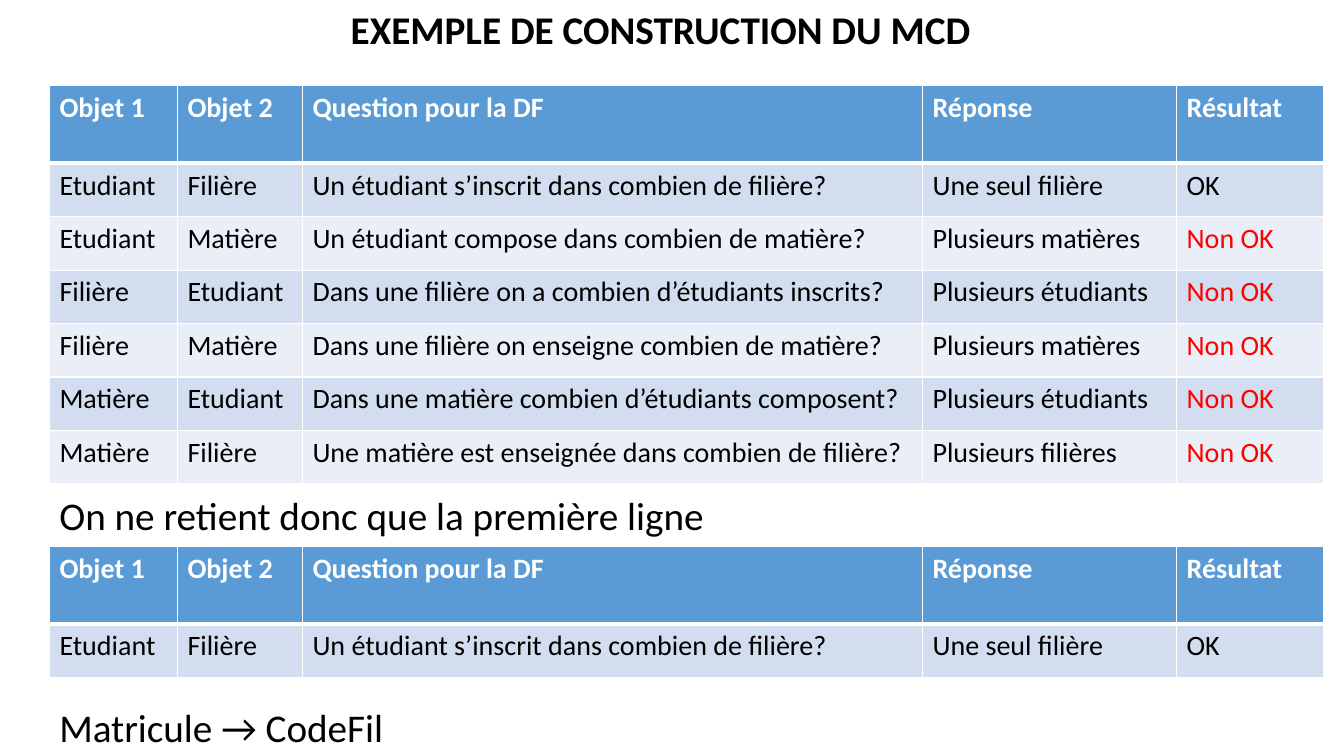
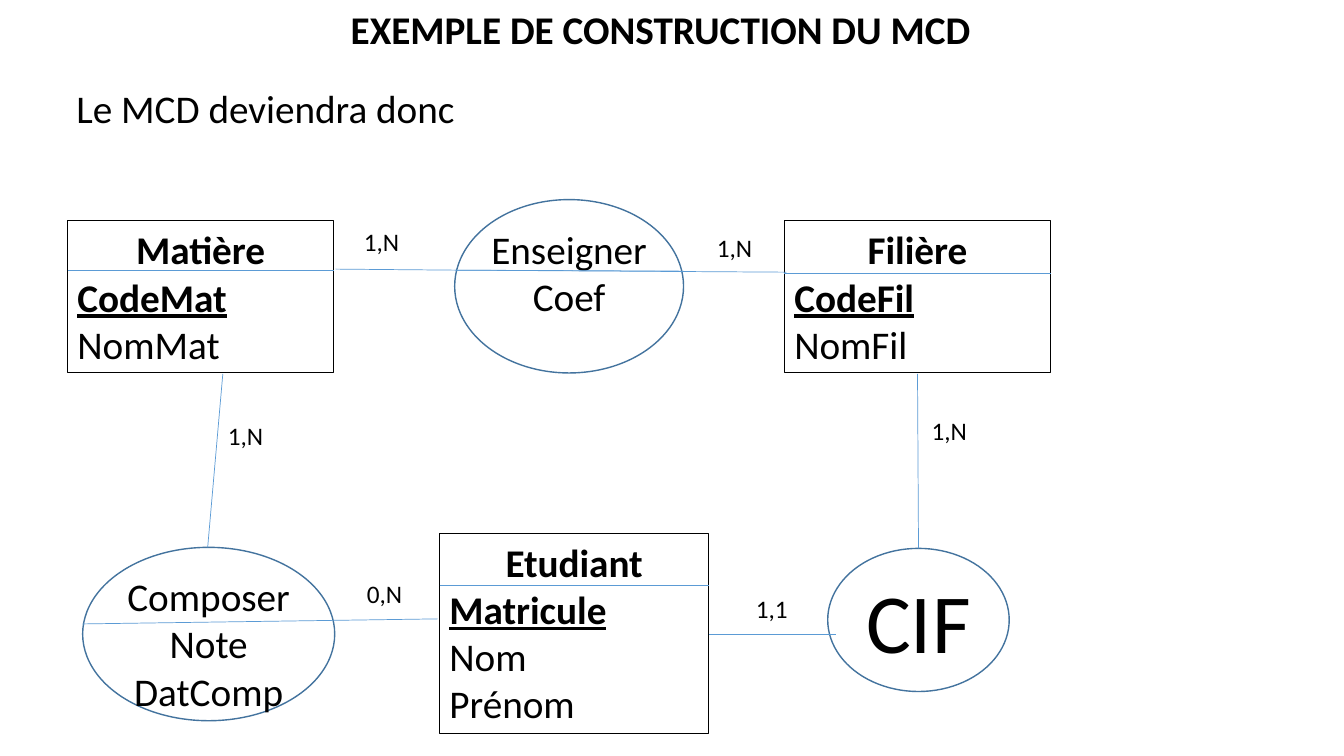
"""Build two slides that show how a conceptual data model is derived."""
from dataclasses import dataclass

from lxml import etree
from pptx import Presentation
from pptx.dml.color import RGBColor
from pptx.enum.shapes import MSO_CONNECTOR, MSO_SHAPE
from pptx.enum.text import MSO_ANCHOR, PP_ALIGN
from pptx.oxml.ns import qn
from pptx.shapes.autoshape import Shape
from pptx.slide import Slide
from pptx.table import _Cell
from pptx.text.text import TextFrame
from pptx.util import Inches, Pt

RECTANGLE, ELLIPSE = MSO_SHAPE.RECTANGLE, MSO_SHAPE.OVAL
STRAIGHT = MSO_CONNECTOR.STRAIGHT
LEFT, CENTER = PP_ALIGN.LEFT, PP_ALIGN.CENTER
TOP, MIDDLE = MSO_ANCHOR.TOP, MSO_ANCHOR.MIDDLE

FONT = "Calibri"
BLACK, WHITE, RED = "000000", "FFFFFF", "FF0000"
BLUE, DARK_BLUE = "5B9BD5", "43739E"
BANDS = ("D2DEEF", "EAEFF7")
TITLE = "EXEMPLE DE CONSTRUCTION DU MCD"
TITLE_ONLY = 5
BODY_SIZE, TABLE_SIZE, LABEL_SIZE = 28, 20, 18
TEXT_HEIGHT = 0.57

TABLE_LEFT, TABLE_WIDTH = 0.49, 12.65
COLUMN_WIDTHS = (1.27, 1.24, 6.15, 2.52, 1.46)
HEADER_HEIGHT, ROW_HEIGHT = 0.77, 0.53
HEADERS = ("Objet 1", "Objet 2", "Question pour la DF", "Réponse", "Résultat")
REJECTED = "Non OK"
DEPENDENCIES = (
    ("Etudiant", "Filière", "Un étudiant s’inscrit dans combien de filière?",
     "Une seul filière", "OK"),
    ("Etudiant", "Matière", "Un étudiant compose dans combien de matière?",
     "Plusieurs matières", REJECTED),
    ("Filière", "Etudiant", "Dans une filière on a combien d’étudiants inscrits?",
     "Plusieurs étudiants", REJECTED),
    ("Filière", "Matière", "Dans une filière on enseigne combien de matière?",
     "Plusieurs matières", REJECTED),
    ("Matière", "Etudiant", "Dans une matière combien d’étudiants composent?",
     "Plusieurs étudiants", REJECTED),
    ("Matière", "Filière", "Une matière est enseignée dans combien de filière?",
     "Plusieurs filières", REJECTED),
)


@dataclass(frozen=True)
class Line:
    """One paragraph of uniformly formatted text."""
    text: str
    size: int = BODY_SIZE
    bold: bool = False
    underline: bool = False
    color: str = BLACK
    align: PP_ALIGN = LEFT


@dataclass(frozen=True)
class Box:
    """A position and size in inches."""
    left: float
    top: float
    width: float
    height: float

    def lengths(self) -> tuple[Inches, ...]:
        """Return the four measures as lengths."""
        return tuple(Inches(n) for n in (self.left, self.top, self.width, self.height))


@dataclass(frozen=True)
class Entity:
    """A data model entity with its key and other attributes."""
    name: str
    key: str
    attributes: tuple[str, ...]
    box: Box
    divider: float


@dataclass(frozen=True)
class Association:
    """A data model association drawn as an ellipse."""
    lines: tuple[str, ...]
    box: Box
    size: int = BODY_SIZE
    anchor: MSO_ANCHOR = TOP


@dataclass(frozen=True)
class Link:
    """A line between two points with its cardinality."""
    start: tuple[float, float]
    end: tuple[float, float]
    cardinality: str
    label: tuple[float, float]


ENTITIES = (
    Entity("Filière", "CodeFil", ("NomFil",), Box(7.78, 2.19, 2.64, 1.51), 2.71),
    Entity("Matière", "CodeMat", ("NomMat",), Box(0.67, 2.19, 2.64, 1.51), 2.68),
    Entity("Etudiant", "Matricule", ("Nom", "Prénom"), Box(4.36, 5.29, 2.67, 1.99), 5.81),
)
ASSOCIATIONS = (
    Association(("Enseigner", "Coef"), Box(4.51, 1.98, 2.27, 1.72)),
    Association(("Composer", "Note", "DatComp"), Box(0.82, 5.43, 2.5, 1.72)),
    Association(("CIF",), Box(8.21, 5.44, 1.8, 1.42), 60, MIDDLE),
)
LINKS = (
    Link((3.33, 2.67), (4.51, 2.68), "1,N", (3.47, 2.25)),
    Link((4.51, 2.68), (7.8, 2.7), "1,N", (6.97, 2.3)),
    Link((0.82, 6.19), (4.34, 6.14), "0,N", (3.5, 5.74)),
    Link((2.21, 3.71), (2.06, 5.43), "1,N", (2.12, 4.17)),
    Link((9.1, 3.71), (9.11, 5.44), "1,N", (9.1, 4.12)),
    Link((7.03, 6.29), (8.29, 6.29), "1,1", (7.34, 5.89)),
)


def rgb(value: str) -> RGBColor:
    """Turn a hex string into a colour."""
    return RGBColor.from_string(value)


def write(frame: TextFrame, lines: list[Line]) -> None:
    """Fill a text frame with formatted paragraphs."""
    for index, line in enumerate(lines):
        para = frame.add_paragraph() if index else frame.paragraphs[0]
        para.alignment = line.align
        span = para.add_run()
        span.text = line.text
        font = span.font
        font.name, font.size = FONT, Pt(line.size)
        font.bold, font.underline = line.bold, line.underline
        font.color.rgb = rgb(line.color)


def set_frame(frame: TextFrame, anchor: MSO_ANCHOR = TOP, padded: bool = True) -> None:
    """Set wrapping, anchor and insets of a text frame."""
    frame.word_wrap = True
    frame.vertical_anchor = anchor
    across, down = (0.1, 0.05) if padded else (0, 0)
    frame.margin_left = frame.margin_right = Inches(across)
    frame.margin_top = frame.margin_bottom = Inches(down)


def add_text(page: Slide, box: Box, line: Line, padded: bool = True) -> None:
    """Add a text box with one paragraph."""
    frame = page.shapes.add_textbox(*box.lengths()).text_frame
    set_frame(frame, padded=padded)
    write(frame, [line])


def add_outline(page: Slide, kind: MSO_SHAPE, box: Box, color: str, weight: float) -> Shape:
    """Add an unfilled shape with a coloured outline."""
    shape = page.shapes.add_shape(kind, *box.lengths())
    shape.shadow.inherit = False
    shape.fill.background()
    shape.line.color.rgb = rgb(color)
    shape.line.width = Pt(weight)
    return shape


def add_line(page: Slide, start: tuple[float, float], end: tuple[float, float]) -> None:
    """Add a thin blue line between two points."""
    points = [Inches(n) for n in (*start, *end)]
    line = page.shapes.add_connector(STRAIGHT, *points)
    line.line.color.rgb = rgb(BLUE)
    line.line.width = Pt(0.5)
    etree.SubElement(line._element.spPr, qn("a:effectLst"))


def add_titled_page(deck: Presentation) -> Slide:
    """Add a slide with the shared title."""
    page = deck.slides.add_slide(deck.slide_layouts[TITLE_ONLY])
    title = page.shapes.title
    box = Box(0.88, 0, 11.34, TEXT_HEIGHT)
    title.left, title.top, title.width, title.height = box.lengths()
    set_frame(title.text_frame)
    write(title.text_frame, [Line(TITLE, bold=True, align=CENTER)])
    return page


def style_cell(cell: _Cell, line: Line, fill: str, top: int, bottom: int) -> None:
    """Write a cell and set its borders and fill."""
    write(cell.text_frame, [line])
    properties = cell._tc.get_or_add_tcPr()
    for side, weight in (("L", 1), ("R", 1), ("T", top), ("B", bottom)):
        border = etree.SubElement(properties, qn(f"a:ln{side}"), w=str(Pt(weight)))
        solid = etree.SubElement(border, qn("a:solidFill"))
        etree.SubElement(solid, qn("a:srgbClr"), val=WHITE)
    cell.fill.solid()
    cell.fill.fore_color.rgb = rgb(fill)


def add_dependencies(page: Slide, top: float, rows: tuple[tuple[str, ...], ...]) -> None:
    """Add a table of functional dependencies."""
    box = Box(TABLE_LEFT, top, TABLE_WIDTH, HEADER_HEIGHT + ROW_HEIGHT * len(rows))
    table = page.shapes.add_table(len(rows) + 1, len(HEADERS), *box.lengths()).table
    table.horz_banding = False
    for column, width in zip(table.columns, COLUMN_WIDTHS):
        column.width = Inches(width)
    for index, texts in enumerate((HEADERS, *rows)):
        header = index == 0
        table.rows[index].height = Inches(HEADER_HEIGHT if header else ROW_HEIGHT)
        fill = BLUE if header else BANDS[(index - 1) % 2]
        for column, text in enumerate(texts):
            color = WHITE if header else RED if text == REJECTED else BLACK
            line = Line(text, TABLE_SIZE, bold=header, color=color)
            style_cell(table.cell(index, column), line, fill,
                       3 if index == 1 else 1, 3 if header else 1)


def add_entity(page: Slide, entity: Entity) -> None:
    """Draw an entity box with a divider under its name."""
    box = entity.box
    frame = add_outline(page, RECTANGLE, box, BLACK, 0.75).text_frame
    set_frame(frame)
    write(frame, [Line(entity.name, bold=True, align=CENTER),
                  Line(entity.key, bold=True, underline=True),
                  *(Line(name) for name in entity.attributes)])
    add_line(page, (box.left, entity.divider), (box.left + box.width, entity.divider))


def add_association(page: Slide, association: Association) -> None:
    """Draw an association ellipse."""
    frame = add_outline(page, ELLIPSE, association.box, DARK_BLUE, 1).text_frame
    set_frame(frame, association.anchor, padded=False)
    write(frame, [Line(text, association.size, align=CENTER) for text in association.lines])


def build_dependencies(deck: Presentation) -> None:
    """Build the slide of functional dependencies."""
    page = add_titled_page(deck)
    add_dependencies(page, 0.85, DEPENDENCIES)
    add_dependencies(page, 5.42, DEPENDENCIES[:1])
    for top, text in ((4.83, "On ne retient donc que la première ligne"),
                      (6.93, "Matricule → CodeFil")):
        add_text(page, Box(TABLE_LEFT, top, TABLE_WIDTH, TEXT_HEIGHT), Line(text))


def build_model(deck: Presentation) -> None:
    """Build the slide of the resulting data model."""
    page = add_titled_page(deck)
    add_text(page, Box(0.66, 0.79, 5.33, TEXT_HEIGHT), Line("Le MCD deviendra donc"))
    for entity in ENTITIES:
        add_entity(page, entity)
    for association in ASSOCIATIONS:
        add_association(page, association)
    for link in LINKS:
        add_line(page, link.start, link.end)
        label = Line(link.cardinality, LABEL_SIZE, align=CENTER)
        add_text(page, Box(*link.label, 0.63, 0.3), label, padded=False)
    add_line(page, (4.51, 2.68), (6.78, 2.69))


def main() -> None:
    """Build and save the deck."""
    deck = Presentation()
    deck.slide_width, deck.slide_height = Inches(13.33), Inches(7.5)
    build_dependencies(deck)
    build_model(deck)
    deck.save("out.pptx")


if __name__ == "__main__":
    main()
